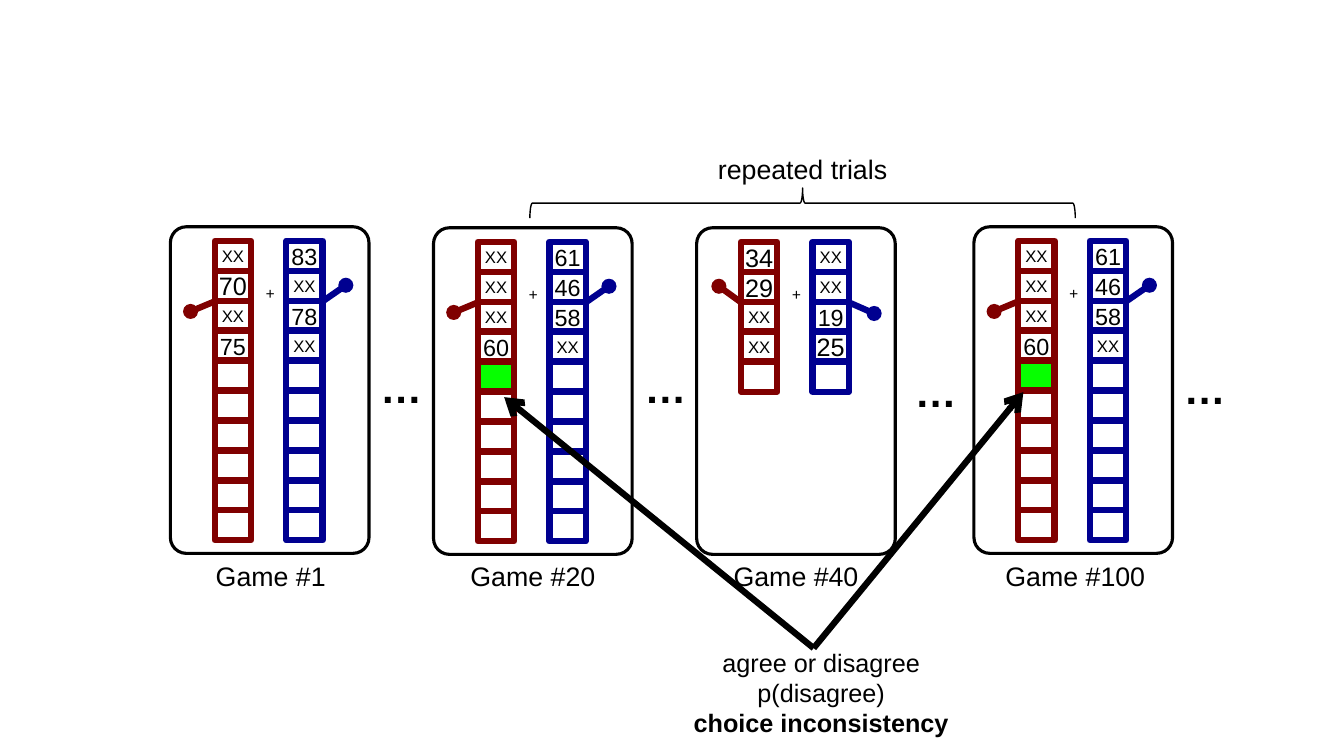
import pptx
import pptx.dml.color
import pptx.enum.shapes
import pptx.enum.text
import pptx.oxml.ns
import pptx.util
from lxml import etree

Inches = pptx.util.Inches
SHAPE = pptx.enum.shapes.MSO_SHAPE
STRAIGHT = pptx.enum.shapes.MSO_CONNECTOR.STRAIGHT
color = pptx.dml.color.RGBColor.from_string
BLACK, RED, BLUE, GREEN = "000000", "800000", "000090", "06FF00"


def style(shape, fill=None, line=None, width=0):
    """Set fill and line of a shape or connector and remove its shadow."""
    if line:
        shape.line.color.rgb = color(line)
        shape.line.width = pptx.util.Pt(width)
    else:
        shape.line.fill.background()
    if shape.shape_type == pptx.enum.shapes.MSO_SHAPE_TYPE.LINE:
        etree.SubElement(shape._element.spPr, pptx.oxml.ns.qn("a:effectLst"))
        return
    shape.shadow.inherit = False
    if fill:
        shape.fill.solid()
        shape.fill.fore_color.rgb = color(fill)
    else:
        shape.fill.background()


def write(shape, lines, size, font="Arial", wrap=True):
    """Fill a shape with centred black lines, given as (text, bold) pairs."""
    frame = shape.text_frame
    frame.word_wrap = wrap
    frame.margin_left = frame.margin_right = 0
    for index, (text, bold) in enumerate(lines):
        paragraph = frame.add_paragraph() if index else frame.paragraphs[0]
        paragraph.alignment = pptx.enum.text.PP_ALIGN.CENTER
        run = paragraph.add_run()
        run.text = text
        run.font.name = font
        run.font.size = pptx.util.Pt(size)
        run.font.bold = bold
        run.font.color.rgb = color(BLACK)


presentation = pptx.Presentation()
presentation.slide_width = Inches(13.33)
presentation.slide_height = Inches(7.5)
slide = presentation.slides.add_slide(presentation.slide_layouts[6])

brace = slide.shapes.add_shape(SHAPE.RIGHT_BRACE, Inches(7.81), Inches(-0.69), Inches(0.3), Inches(5.41))
brace.rotation = 270
style(brace, line=BLACK, width=1)

# Each game: name, caption left, card left and top, rows, red values, blue values,
# red and blue lever ends (from the card's corner), values in larger type, free choice row
games = [
    ("Game #1", 1.7, 1.69, 2.25, 10, ["XX", "70", "XX", "75"], ["83", "XX", "78", "XX"],
     (0.2, 0.84), (1.74, 0.58), ["70"], None),
    ("Game #20", 4.3, 4.3, 2.26, 10, ["XX", "XX", "XX", "60"], ["61", "46", "58", "XX"],
     (0.2, 0.84), (1.74, 0.58), [], 4),
    ("Game #40", 6.91, 6.91, 2.26, 5, ["34", "29", "XX", "XX"], ["XX", "XX", "19", "25"],
     (0.22, 0.58), (1.76, 0.85), ["34", "29", "25"], None),
    ("Game #100", 9.68, 9.66, 2.25, 10, ["XX", "XX", "XX", "60"], ["61", "46", "58", "XX"],
     (0.2, 0.84), (1.74, 0.58), [], 4),
]
CARD_WIDTH, CARD_HEIGHT = 1.97, 3.24
CELL_WIDTH, CELL_HEIGHT = 0.36, 0.3
ROW_STEP = 2.67 / 9
DOT = 0.15

for (name, caption_left, left, top, rows, red_values, blue_values,
     red_end, blue_end, large, choice_row) in games:
    game = slide.shapes.add_group_shape().shapes
    card = game.add_shape(SHAPE.ROUNDED_RECTANGLE, Inches(left), Inches(top),
                          Inches(CARD_WIDTH), Inches(CARD_HEIGHT))
    card.adjustments[0] = 0.08
    style(card, line=BLACK, width=2.25)
    plus = game.add_textbox(Inches(left + 0.87), Inches(top + 0.51), Inches(0.24), Inches(0.3))
    write(plus, [("+", False)], 11.9, "Calibri")

    # Column offset and lever start are measured from the card's left edge
    columns = [(RED, 0.44, 0.44, red_values, red_end),
               (BLUE, 1.15, 1.51, blue_values, blue_end)]
    for tint, offset, lever_start, values, (lever_end, end_height) in columns:
        lever = game.add_connector(STRAIGHT, Inches(left + lever_start), Inches(top + 0.74),
                                   Inches(left + lever_end), Inches(top + end_height))
        style(lever, line=tint, width=4.5)
        dot = game.add_shape(SHAPE.OVAL, Inches(left + lever_end - DOT / 2),
                             Inches(top + end_height - DOT / 2), Inches(DOT), Inches(DOT))
        style(dot, fill=tint)
        for row in range(rows):
            cell = game.add_shape(SHAPE.RECTANGLE, Inches(left + offset),
                                  Inches(top + 0.14 + row * ROW_STEP),
                                  Inches(CELL_WIDTH), Inches(CELL_HEIGHT))
            chosen = tint == RED and row == choice_row
            style(cell, GREEN if chosen else None, tint, 4.5)
            if row < len(values):
                value = values[row]
                size = 11.9 if value == "XX" else 18 if value in large else 16.7
                write(cell, [(value, False)], size, wrap=False)
                cell.text_frame.vertical_anchor = pptx.enum.text.MSO_ANCHOR.MIDDLE

    caption = slide.shapes.add_textbox(Inches(caption_left), Inches(5.5),
                                       Inches(CARD_WIDTH), Inches(0.42))
    write(caption, [(name, False)], 19.1)

for left, top in [(3.66, 3.54), (6.28, 3.54), (8.96, 3.58), (11.63, 3.55)]:
    ellipsis = slide.shapes.add_textbox(Inches(left), Inches(top), Inches(0.64), Inches(0.6))
    write(ellipsis, [("…", True)], 29.8)

heading = slide.shapes.add_textbox(Inches(5.67), Inches(1.47), Inches(4.58), Inches(0.42))
write(heading, [("repeated trials", False)], 19.1)

for tip_left, tip_top in [(5, 3.94), (10.15, 3.89)]:
    arrow = slide.shapes.add_connector(STRAIGHT, Inches(8.07), Inches(6.43),
                                       Inches(tip_left), Inches(tip_top))
    style(arrow, line=BLACK, width=4.5)
    etree.SubElement(arrow.line._get_or_add_ln(), pptx.oxml.ns.qn("a:tailEnd"), type="arrow")

conclusion = slide.shapes.add_textbox(Inches(4.81), Inches(6.37), Inches(6.67), Inches(1.01))
write(conclusion, [("agree or disagree", False), ("p(disagree)", False),
                   ("choice inconsistency", True)], 18)

presentation.save("out.pptx")
